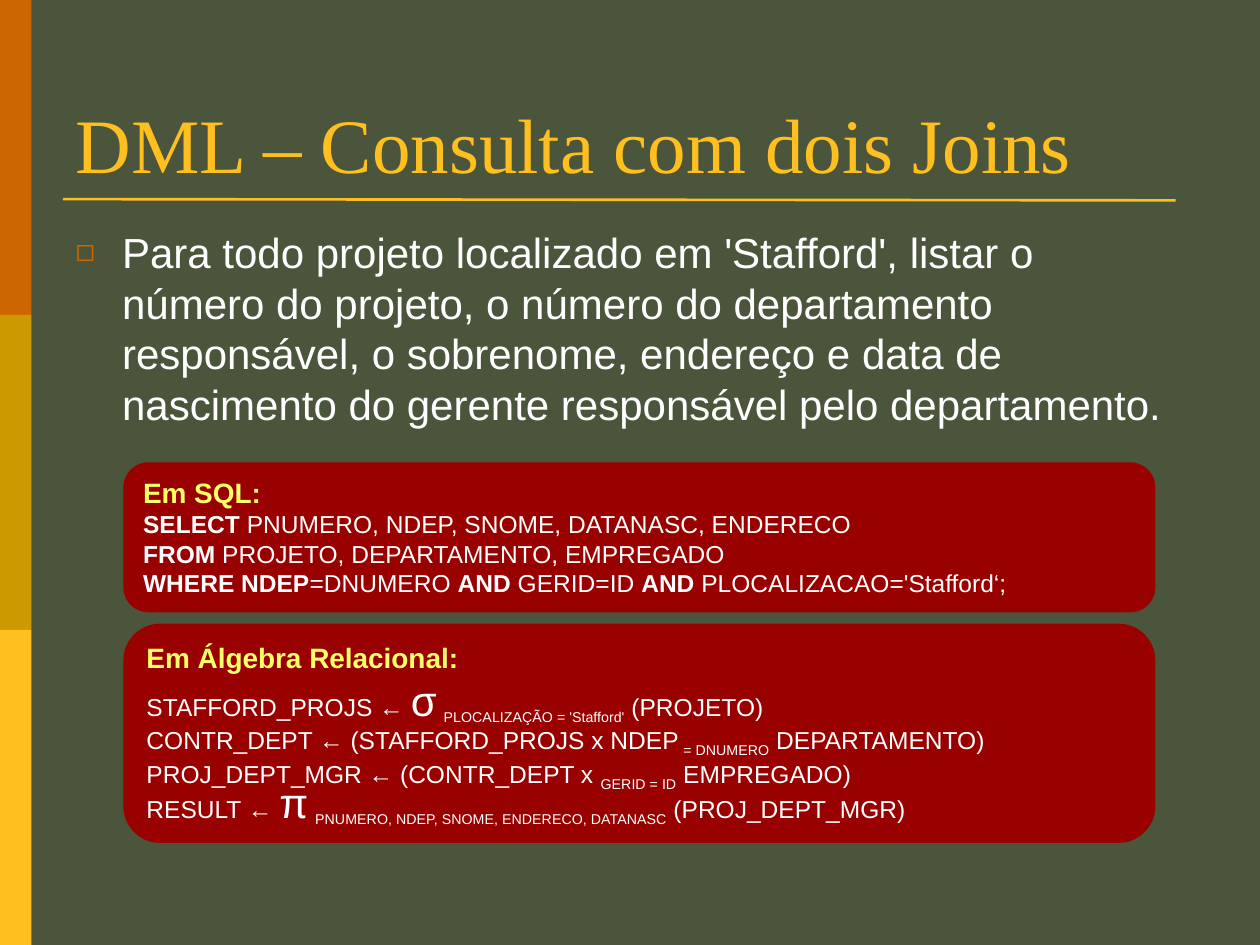
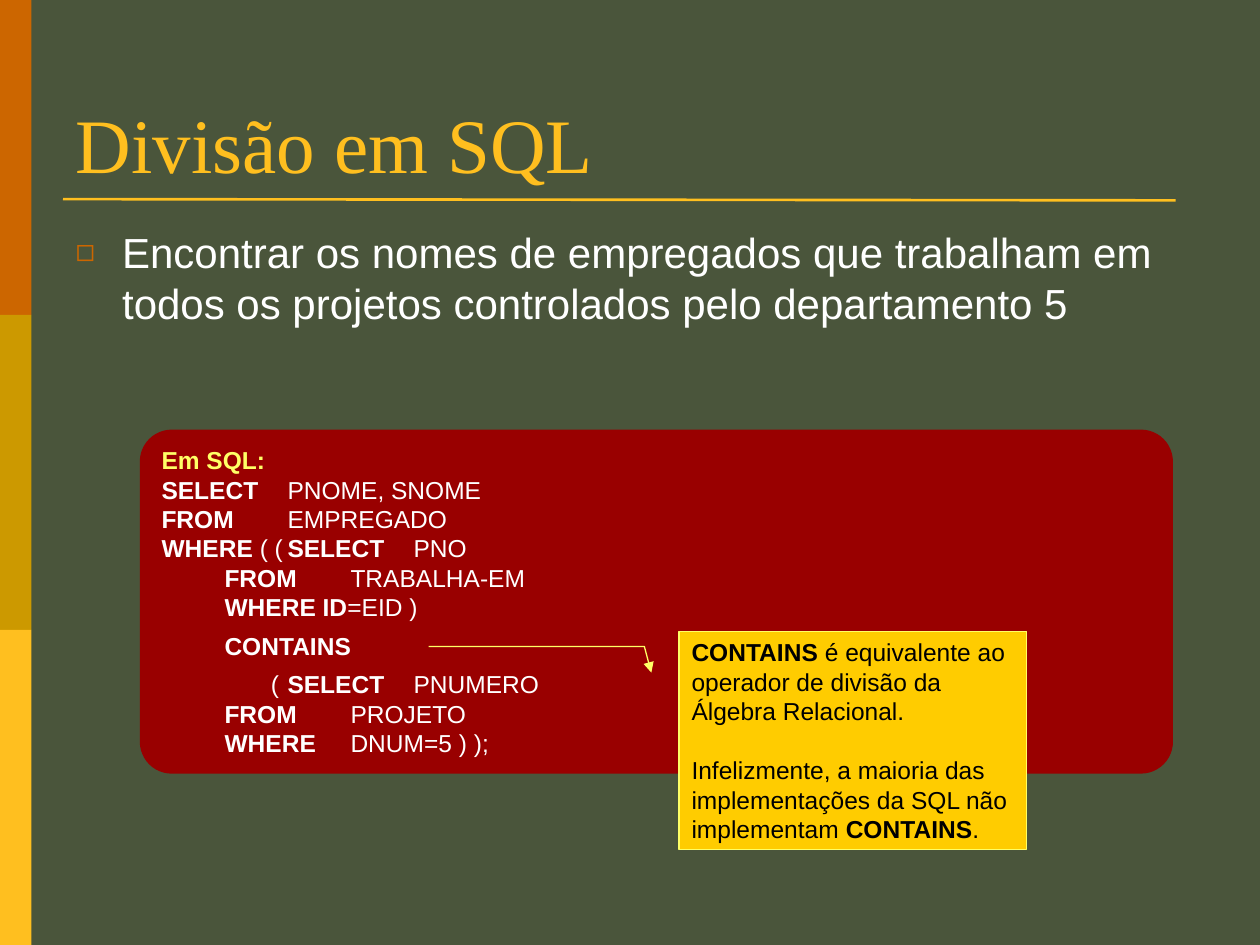
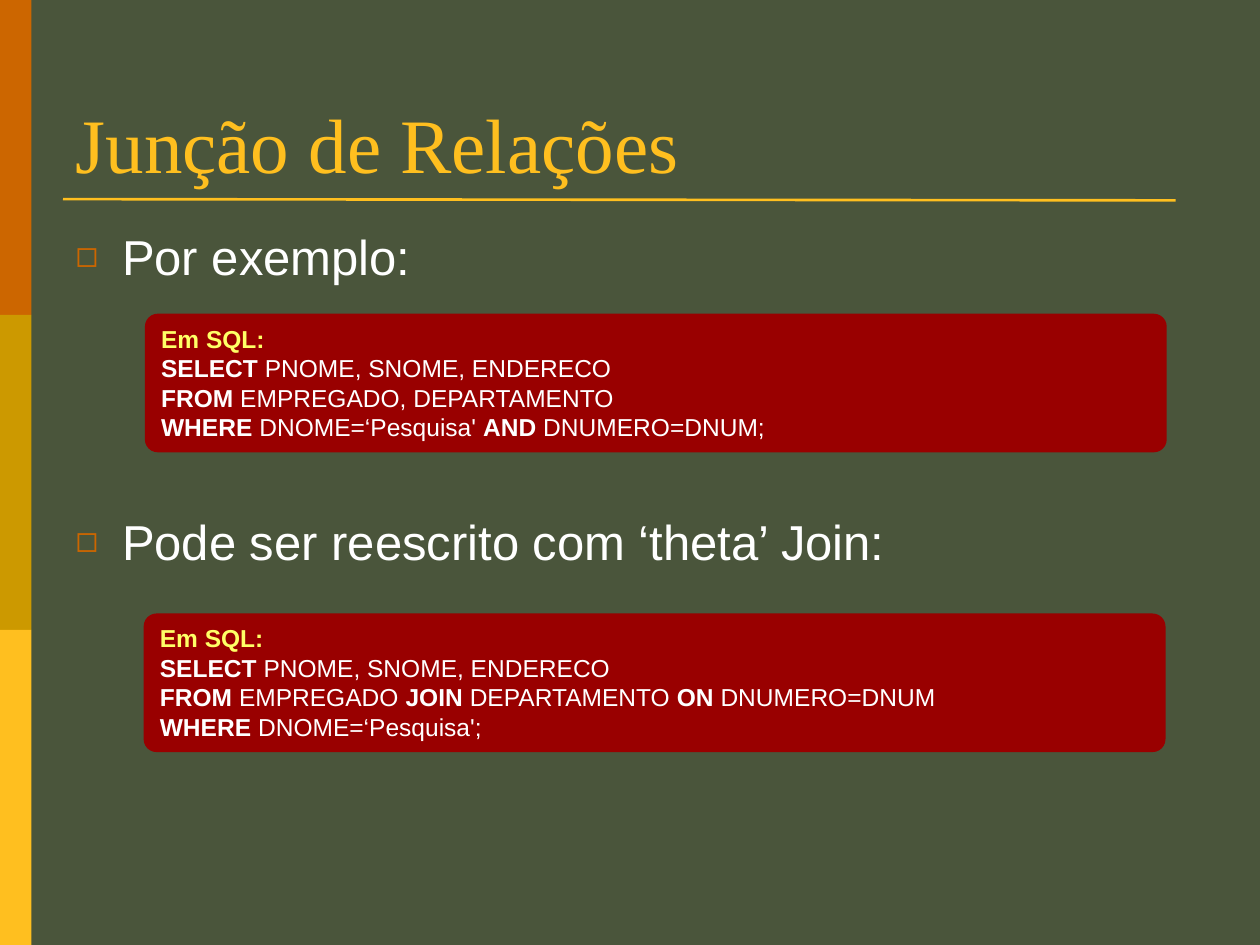
from lxml.etree import SubElement
from pptx import Presentation
from pptx.dml.color import RGBColor
from pptx.enum.shapes import MSO_CONNECTOR, MSO_SHAPE as SHAPE
from pptx.enum.text import MSO_ANCHOR as ANCHOR, MSO_AUTO_SIZE as AUTO_SIZE, PP_ALIGN as ALIGN
from pptx.oxml.ns import qn
from pptx.util import Pt

BACKGROUND, GOLD, ORANGE, MUSTARD = "4A553B", "FFBF1F", "CC6600", "CC9900"
WHITE, BLACK, RED, YELLOW, NOTE_FILL = "FFFFFF", "000000", "990000", "FFFF66", "FFCC00"
SANS, SERIF = "Arial", "Times New Roman"


def rgb(value):
    return RGBColor.from_string(value)


class Deck:
    """Holds the style of the course slides and the slide being built."""

    def __init__(self):
        self.prs = Presentation()
        self.prs.slide_width, self.prs.slide_height = Pt(720), Pt(540)
        backdrop = self.prs.slide_master.background.fill
        backdrop.solid()
        backdrop.fore_color.rgb = rgb(BACKGROUND)

    def new_slide(self, heading):
        self.slide = self.prs.slides.add_slide(self.prs.slide_layouts[1])
        for row, color in enumerate((ORANGE, MUSTARD, GOLD)):
            self.shape(SHAPE.RECTANGLE, (0, 180 * row, 18, 180), color)
        self.rule()
        self.title(heading)

    def rule(self):
        ends = (Pt(v) for v in (36, 113.8, 671.8, 114.5))
        rule = self.slide.shapes.add_connector(MSO_CONNECTOR.STRAIGHT, *ends)
        rule.line.color.rgb = rgb(GOLD)
        rule.line.width = Pt(1.5)
        SubElement(rule._element.spPr, qn("a:effectLst"))

    def shape(self, preset, box, color, adjustments=()):
        shape = self.slide.shapes.add_shape(preset, *(Pt(v) for v in box))
        shape.shadow.inherit = False
        shape.fill.solid()
        shape.fill.fore_color.rgb = rgb(color)
        shape.line.fill.background()
        for index, value in enumerate(adjustments):
            shape.adjustments[index] = value
        return shape

    def frame(self, shape, anchor=ANCHOR.TOP):
        frame = shape.text_frame
        frame.word_wrap = True
        frame.auto_size = AUTO_SIZE.NONE
        frame.vertical_anchor = anchor
        return frame

    def placeholder(self, index, box, anchor=ANCHOR.TOP):
        holder = self.slide.placeholders[index]
        holder.left, holder.top, holder.width, holder.height = (Pt(v) for v in box)
        return self.frame(holder, anchor)

    def style(self, paragraph, size, color, face=SANS):
        paragraph.alignment = ALIGN.LEFT
        paragraph.font.size = Pt(size)
        paragraph.font.name = face
        paragraph.font.color.rgb = rgb(color)

    def title(self, heading):
        frame = self.placeholder(0, (36, 21.6, 648, 90), ANCHOR.BOTTOM)
        frame.text = heading
        self.style(frame.paragraphs[0], 44, GOLD, SERIF)

    def bullets(self, items, size, height=356.4, gap=0):
        frame = self.placeholder(1, (36, 126, 648, height))
        frame.text = "\n".join(items)
        for index, paragraph in enumerate(frame.paragraphs):
            props = paragraph._p.get_or_add_pPr()
            props.set("marL", str(Pt(26.6)))
            props.set("indent", str(Pt(-26.6)))
            tint = SubElement(props, qn("a:buClr"))
            SubElement(tint, qn("a:srgbClr"), val=ORANGE)
            SubElement(props, qn("a:buSzPct"), val="75000")
            SubElement(props, qn("a:buChar"), char="◻")
            paragraph.space_before = Pt(gap if index else 0)
            self.style(paragraph, size, WHITE)

    def marked_text(self, paragraph, text):
        """Adds runs split at |, where * opens bold, ~ a subscript and ^ a large symbol."""
        for chunk in text.split("|"):
            mark = chunk[0] if chunk[0] in "*~^" else ""
            run = paragraph.add_run()
            run.text = chunk[len(mark):]
            if mark == "*":
                run.font.bold = True
            elif mark == "~":
                run._r.get_or_add_rPr().set("baseline", "-25000")
            elif mark == "^":
                run.font.size = Pt(24)

    def lines(self, frame, texts, color):
        for index, text in enumerate(texts):
            paragraph = frame.add_paragraph() if index else frame.paragraphs[0]
            stops = SubElement(paragraph._p.get_or_add_pPr(), qn("a:tabLst"))
            for step in range(1, 8):
                SubElement(stops, qn("a:tab"), pos=str(Pt(36 * step)), algn="l")
            self.style(paragraph, 14, color)
            self.marked_text(paragraph, text)
        return frame.paragraphs

    def code(self, box, label, texts, label_size=14, corner=0.093):
        panel = self.shape(SHAPE.ROUNDED_RECTANGLE, box, RED, [corner])
        paragraphs = self.lines(self.frame(panel), [f"*{label}", *texts], WHITE)
        self.style(paragraphs[0], label_size, YELLOW)
        return paragraphs

    def callout(self, box, texts, pointer):
        note = self.shape(SHAPE.LINE_CALLOUT_2, box, NOTE_FILL, pointer)
        note.line.color.rgb = rgb(YELLOW)
        note.line.width = Pt(0.75)
        SubElement(note.line._get_or_add_ln(), qn("a:headEnd"), type="triangle")
        for paragraph in self.lines(self.frame(note), texts, BLACK)[1:]:
            paragraph.space_before = Pt(17)


def two_joins(deck):
    deck.new_slide("DML – Consulta com dois Joins")
    deck.bullets([
        "Para todo projeto localizado em 'Stafford', listar o número do projeto, "
        "o número do departamento responsável, o sobrenome, endereço e data de "
        "nascimento do gerente responsável pelo departamento."], 24, height=126.7)
    deck.code((70.5, 264.2, 589.7, 85.7), "Em SQL:", [
        "*SELECT |PNUMERO, NDEP, SNOME, DATANASC, ENDERECO",
        "*FROM |PROJETO, DEPARTAMENTO, EMPREGADO",
        "*WHERE NDEP|=DNUMERO |*AND| GERID=ID |*AND |PLOCALIZACAO='Stafford‘;",
    ], label_size=16, corner=0.167)
    algebra = deck.code((70.5, 356.4, 589.7, 125.3), "Em Álgebra Relacional:", [
        "STAFFORD_PROJS ← |^σ| |~PLOCALIZAÇÃO = 'Stafford'| (PROJETO)",
        "CONTR_DEPT ← (STAFFORD_PROJS x NDEP|~ = DNUMERO| DEPARTAMENTO)",
        "PROJ_DEPT_MGR ← (CONTR_DEPT x |~GERID = ID| EMPREGADO)",
        "RESULT ← |^π| |~PNUMERO, NDEP, SNOME, ENDERECO, DATANASC| (PROJ_DEPT_MGR)",
    ], label_size=16, corner=0.167)
    algebra[-1].line_spacing = 0.65


def division(deck):
    deck.new_slide("Divisão em SQL")
    deck.bullets(["Encontrar os nomes de empregados que trabalham em todos os "
                  "projetos controlados pelo departamento 5"], 24)
    query = deck.code((79.9, 245.5, 590.4, 196.6), "Em SQL:", [
        "*SELECT\t|PNOME, SNOME",
        "*FROM \t|EMPREGADO",
        "*WHERE |( (\t|*SELECT\t|PNO",
        "*\tFROM\t|TRABALHA-EM",
        "*\tWHERE ID|=EID )",
        "*\tCONTAINS",
        "*                |(\t|*SELECT\t|PNUMERO",
        "*\tFROM\t|PROJETO",
        "*\tWHERE\t|DNUM=5 ) );",
    ])
    contains = query[6]
    contains.space_before = contains.space_after = Pt(5.2)
    deck.callout((388.1, 360.7, 198.7, 124.6), [
        "*CONTAINS| é equivalente ao operador de divisão da Álgebra Relacional.",
        "Infelizmente, a maioria das implementações da SQL não implementam |*CONTAINS|.",
    ], pointer=(0.19, -0.08, 0.07, -0.1, 0.07, -0.72))


def joined_relations(deck):
    deck.new_slide("Junção de Relações")
    deck.bullets(["Por exemplo:", "Pode ser reescrito com ‘theta’ Join:"], 28, gap=129)
    select = "*SELECT |PNOME, SNOME, ENDERECO"
    deck.code((82.8, 179.3, 583.9, 79.2), "Em SQL:", [
        select,
        "*FROM |EMPREGADO, DEPARTAMENTO",
        "*WHERE |DNOME=‘Pesquisa' |*AND| DNUMERO=DNUM;",
    ])
    deck.code((82.1, 350.6, 583.9, 79.2), "Em SQL:", [
        select,
        "*FROM |EMPREGADO |*JOIN |DEPARTAMENTO |*ON |DNUMERO=DNUM",
        "*WHERE |DNOME=‘Pesquisa';",
    ])


def main():
    deck = Deck()
    two_joins(deck)
    division(deck)
    joined_relations(deck)
    deck.prs.save("out.pptx")


if __name__ == "__main__":
    main()
